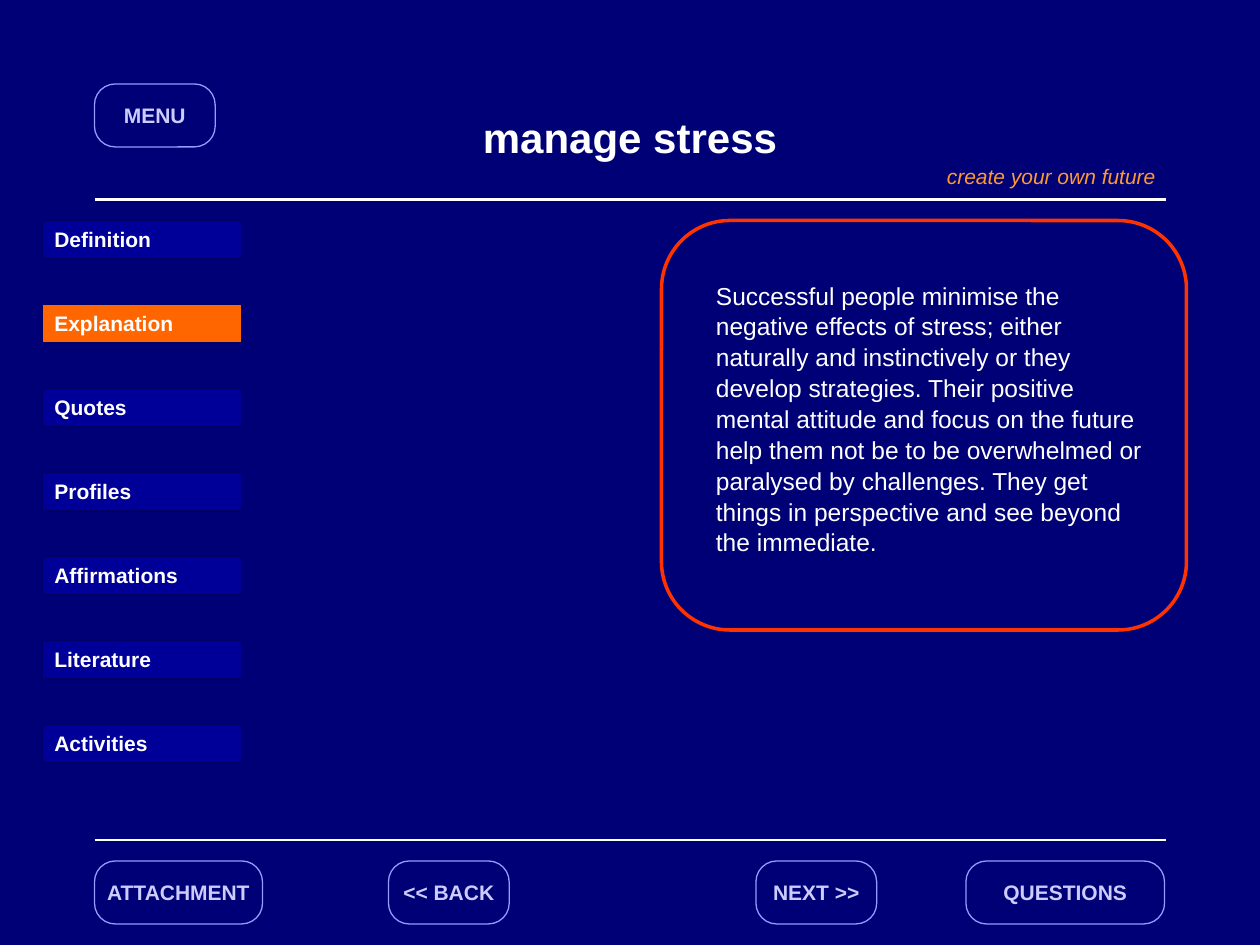
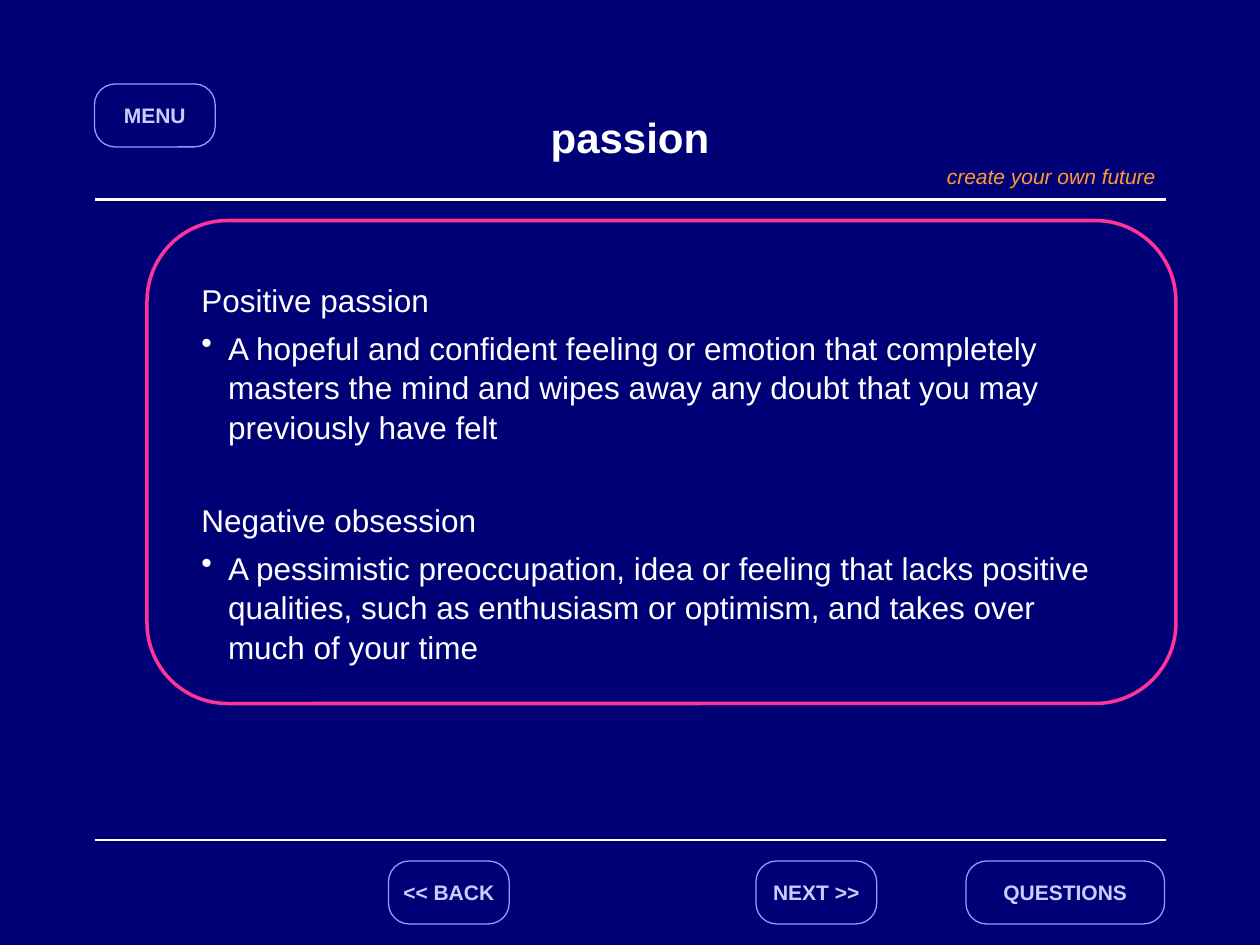
from pptx import Presentation
from pptx.dml.color import RGBColor
from pptx.enum.shapes import MSO_CONNECTOR, MSO_SHAPE
from pptx.enum.text import MSO_ANCHOR, MSO_AUTO_SIZE, PP_ALIGN
from pptx.oxml.ns import qn
from pptx.util import Pt
from lxml import etree

NAVY, WHITE = "000076", "FFFFFF"
TITLE = dict(size=Pt(24), bold=True)
BUTTON = dict(size=Pt(12), bold=True)
TAGLINE = dict(size=Pt(12), italic=True)


def paint(target, colour):
    """Colour a fill or a font from a hex string."""
    if hasattr(target, "solid"):
        target.solid()
        target.fore_color.rgb = RGBColor.from_string(colour)
    else:
        target.color.rgb = RGBColor.from_string(colour)


def put_text(p, text, colour, font):
    r = p.add_run()
    r.text = text
    r.font.name = "Arial"
    paint(r.font, colour)
    for name, value in font.items():
        setattr(r.font, name, value)


# Contents: buttons are label, left, top, width
MENU = ("MENU", 54, 48, 69)
NAV = [("<< BACK", 222, 492, 69), ("NEXT >>", 432, 492, 69),
       ("QUESTIONS", 552, 492, 113.5)]
ATTACHMENT = ("ATTACHMENT", 54, 492, 96)
TABS = ["Definition", "Explanation", "Quotes", "Profiles",
        "Affirmations", "Literature", "Activities"]
# Body paragraphs are text, bulleted, space before
slides = [
    dict(title="manage stress", buttons=[MENU, *NAV, ATTACHMENT],
         tabs=TABS, active="Explanation",
         frame=(378, 126, 300, 234), frame_colour="FF3300",
         body=(402, 156, 264, 200), size=14, hang=0,
         paragraphs=[
             ("Successful people minimise the negative effects of stress; "
              "either naturally and instinctively or they develop strategies. "
              "Their positive mental attitude and focus on the future help "
              "them not be to be overwhelmed or paralysed by challenges. They "
              "get things in perspective and see beyond the immediate.",
              False, 0)]),
    dict(title="passion", buttons=[MENU, *NAV], tabs=[], active=None,
         frame=(84, 126, 588, 276), frame_colour="FF3399",
         body=(108, 156, 534, 246), size=18, hang=15.25,
         paragraphs=[
             ("Positive passion", False, 0),
             ("A hopeful and confident feeling or emotion that completely "
              "masters the mind and wipes away any doubt that you may "
              "previously have felt", True, 4.5),
             ("Negative obsession", False, 30.5),
             ("A pessimistic preoccupation, idea or feeling that lacks "
              "positive qualities, such as enthusiasm or optimism, and takes "
              "over much of your time", True, 4.5)]),
]

prs = Presentation()
prs.slide_width, prs.slide_height = Pt(720), Pt(540)
paint(prs.slide_master.background.fill, NAVY)

for content in slides:
    s = prs.slides.add_slide(prs.slide_layouts[5])

    # Title
    title = s.shapes.title
    title.left, title.top, title.width, title.height = map(Pt, (54, 48, 612, 60))
    tf = title.text_frame
    tf.auto_size = MSO_AUTO_SIZE.NONE
    tf.vertical_anchor = MSO_ANCHOR.MIDDLE
    p = tf.paragraphs[0]
    p.alignment = PP_ALIGN.CENTER
    put_text(p, content["title"], WHITE, TITLE)

    # Header and footer rules
    for y in (114, 480):
        rule = s.shapes.add_connector(MSO_CONNECTOR.STRAIGHT,
                                      Pt(54), Pt(y), Pt(666), Pt(y))
        paint(rule.line.fill, WHITE)
        rule.line.width = Pt(1.25)
        etree.SubElement(rule._element.spPr, qn("a:effectLst"))

    # Tagline
    tagline = s.shapes.add_textbox(Pt(534), Pt(90), Pt(138), Pt(21.75))
    tagline.text_frame.word_wrap = True
    put_text(tagline.text_frame.paragraphs[0], "create your own future",
             "FF9933", TAGLINE)

    # Section tabs
    for i, label in enumerate(content["tabs"]):
        tab = s.shapes.add_shape(MSO_SHAPE.RECTANGLE, Pt(24), Pt(126 + 48 * i),
                                 Pt(114), Pt(21.75))
        tab.shadow.inherit = False
        paint(tab.fill, "FF6600" if label == content["active"] else "000099")
        paint(tab.line.fill, "000066")
        tab.line.width = Pt(0.75)
        tab.text_frame.vertical_anchor = MSO_ANCHOR.TOP
        p = tab.text_frame.paragraphs[0]
        p.alignment = PP_ALIGN.LEFT
        put_text(p, label, WHITE, BUTTON)

    # Body text
    body = s.shapes.add_textbox(*map(Pt, content["body"]))
    tf = body.text_frame
    tf.word_wrap = True
    for i, (text, bulleted, before) in enumerate(content["paragraphs"]):
        p = tf.add_paragraph() if i else tf.paragraphs[0]
        pPr = p._p.get_or_add_pPr()
        if content["hang"]:
            pPr.set("marL", str(Pt(content["hang"])))
            pPr.set("indent", str(-Pt(content["hang"])))
        if bulleted:
            etree.SubElement(pPr, qn("a:buChar"), char="•")
        p.line_spacing = 1.05
        if before:
            p.space_before = Pt(before)
        put_text(p, text, WHITE, dict(size=Pt(content["size"])))

    # Frame around the body
    frame = s.shapes.add_shape(MSO_SHAPE.ROUNDED_RECTANGLE,
                               *map(Pt, content["frame"]))
    frame.shadow.inherit = False
    frame.adjustments[0] = 0.167
    frame.fill.background()
    paint(frame.line.fill, content["frame_colour"])
    frame.line.width = Pt(2)

    # Navigation buttons
    for label, left, top, width in content["buttons"]:
        button = s.shapes.add_shape(MSO_SHAPE.ROUNDED_RECTANGLE,
                                    Pt(left), Pt(top), Pt(width), Pt(36))
        button.shadow.inherit = False
        button.adjustments[0] = 0.33
        paint(button.fill, NAVY)
        paint(button.line.fill, "9999FF")
        button.line.width = Pt(0.75)
        tf = button.text_frame
        tf.word_wrap = False
        tf.vertical_anchor = MSO_ANCHOR.MIDDLE
        p = tf.paragraphs[0]
        p.alignment = PP_ALIGN.CENTER
        put_text(p, label, "CCCCFF", BUTTON)

prs.save("out.pptx")
